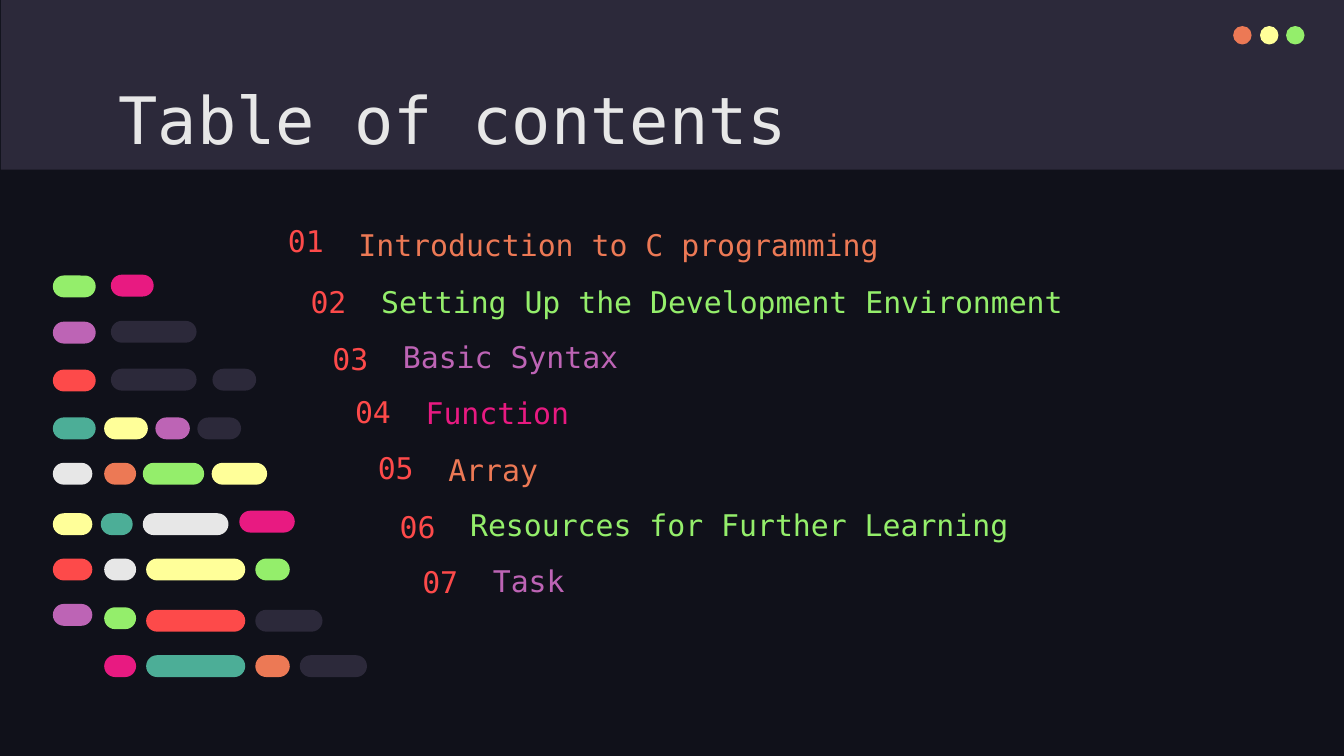
"""Build a dark code-editor style table of contents slide."""
from dataclasses import dataclass

from pptx import Presentation
from pptx.dml.color import RGBColor
from pptx.enum.shapes import MSO_SHAPE as Preset
from pptx.enum.text import MSO_ANCHOR as Anchor, MSO_AUTO_SIZE as AutoSize, PP_ALIGN as Align
from pptx.shapes.base import BaseShape
from pptx.util import Emu, Pt

EMU_PER_PX = 5715
FONT = "DejaVu Sans Mono"
NIGHT, PANEL, WHITE = "10111A", "2C293A", "E7E7E7"
ORANGE, YELLOW, GREEN = "EC7955", "FFFF99", "94EE6B"
PINK, PURPLE, RED, TEAL = "E81A81", "BD64B5", "FD4A4A", "4CAE97"
PILL_HEIGHT = 26


@dataclass(frozen=True)
class Pill:
    left: int
    top: int
    width: int
    color: str


@dataclass(frozen=True)
class Entry:
    number_top: int
    number_height: int
    topic: str
    color: str


PILLS = [
    Pill(63, 328, 51, GREEN), Pill(132, 327, 51, PINK),
    Pill(63, 383, 51, PURPLE), Pill(132, 382, 102, PANEL),
    Pill(63, 440, 51, RED), Pill(132, 439, 102, PANEL), Pill(253, 439, 52, PANEL),
    Pill(63, 497, 51, TEAL), Pill(124, 497, 52, YELLOW),
    Pill(185, 497, 41, PURPLE), Pill(235, 497, 52, PANEL),
    Pill(63, 551, 47, WHITE), Pill(124, 551, 38, ORANGE),
    Pill(170, 551, 73, GREEN), Pill(252, 551, 66, YELLOW),
    Pill(63, 611, 47, YELLOW), Pill(120, 611, 38, TEAL),
    Pill(170, 611, 102, WHITE), Pill(285, 608, 66, PINK),
    Pill(63, 665, 47, RED), Pill(124, 665, 38, WHITE),
    Pill(174, 665, 118, YELLOW), Pill(304, 665, 41, GREEN),
    Pill(63, 719, 47, PURPLE), Pill(124, 723, 38, GREEN),
    Pill(174, 726, 118, RED), Pill(304, 726, 80, PANEL),
    Pill(124, 780, 38, PINK), Pill(174, 780, 118, TEAL),
    Pill(304, 780, 41, ORANGE), Pill(357, 780, 80, PANEL),
]
ENTRIES = [
    Entry(258, 57, "Introduction to C programming", ORANGE),
    Entry(338, 43, "Setting Up the Development Environment", GREEN),
    Entry(405, 43, "Basic Syntax", PURPLE),
    Entry(464, 53, "Function", PINK),
    Entry(537, 39, "Array", ORANGE),
    Entry(605, 43, "Resources for Further Learning", GREEN),
    Entry(671, 43, "Task", PURPLE),
]


def px(length: int) -> Emu:
    """Turn px into EMU."""
    return Emu(length * EMU_PER_PX)


def rgb(color: str) -> RGBColor:
    """Turn a hex string into a colour."""
    return RGBColor.from_string(color)


def draw_shape(shapes, preset: Preset, left: int, top: int, width: int, height: int,
               color: str) -> BaseShape:
    """Add a filled preset shape without line or shadow."""
    shape = shapes.add_shape(preset, px(left), px(top), px(width), px(height))
    shape.shadow.inherit = False
    shape.fill.solid()
    shape.fill.fore_color.rgb = rgb(color)
    shape.line.fill.background()
    return shape


def write(holder: BaseShape, text: str, *, left: int, top: int, width: int, height: int,
          color: str, size: int = 16, anchor: Anchor = Anchor.TOP) -> None:
    """Place a text holder and fill it with one formatted line."""
    holder.left, holder.top = px(left), px(top)
    holder.width, holder.height = px(width), px(height)
    frame = holder.text_frame
    frame.word_wrap = True
    frame.auto_size = AutoSize.NONE
    frame.vertical_anchor = anchor
    frame.margin_left = frame.margin_right = frame.margin_top = frame.margin_bottom = px(16)
    paragraph = frame.paragraphs[0]
    paragraph.alignment = Align.LEFT
    run = paragraph.add_run()
    run.text = text
    run.font.name = FONT
    run.font.size = Pt(size)
    run.font.color.rgb = rgb(color)


def draw_pills(shapes, pills: list[Pill]) -> None:
    """Draw the pills that stand for lines of code."""
    for pill in pills:
        shape = draw_shape(shapes, Preset.ROUNDED_RECTANGLE, pill.left, pill.top,
                           pill.width, PILL_HEIGHT, pill.color)
        shape.adjustments[0] = 0.5


def draw_entries(shapes, entries: list[Entry]) -> None:
    """Write the numbered topics as a descending staircase."""
    for index, entry in enumerate(entries):
        indent = round(index * 26.67)
        write(shapes.add_textbox(0, 0, 0, 0), f"{index + 1:02}", left=327 + indent,
              top=entry.number_top, width=106, height=entry.number_height,
              color=RED, anchor=Anchor.MIDDLE)
        write(shapes.add_textbox(0, 0, 0, 0), entry.topic, left=411 + indent,
              top=271 + round(index * 66.67), width=1062, height=58,
              color=entry.color, anchor=Anchor.BOTTOM)


def main() -> None:
    """Build and save the slide."""
    deck = Presentation()
    deck.slide_width, deck.slide_height = px(1600), px(900)
    slide = deck.slides.add_slide(deck.slide_layouts[5])
    slide.background.fill.solid()
    slide.background.fill.fore_color.rgb = rgb(NIGHT)

    title = slide.shapes.title
    header = draw_shape(slide.shapes, Preset.RECTANGLE, 1, 0, 1600, 202, PANEL)
    title._element.addprevious(header._element)
    window_buttons = slide.shapes.add_group_shape().shapes
    for left, color in zip((1468, 1500, 1531), (ORANGE, YELLOW, GREEN)):
        draw_shape(window_buttons, Preset.OVAL, left, 31, 22, 22, color)
    write(title, "Table of contents", left=125, top=78, width=1349, height=101,
          color=WHITE, size=35)

    draw_pills(slide.shapes.add_group_shape().shapes, PILLS)
    draw_entries(slide.shapes, ENTRIES)
    deck.save("out.pptx")


if __name__ == "__main__":
    main()
